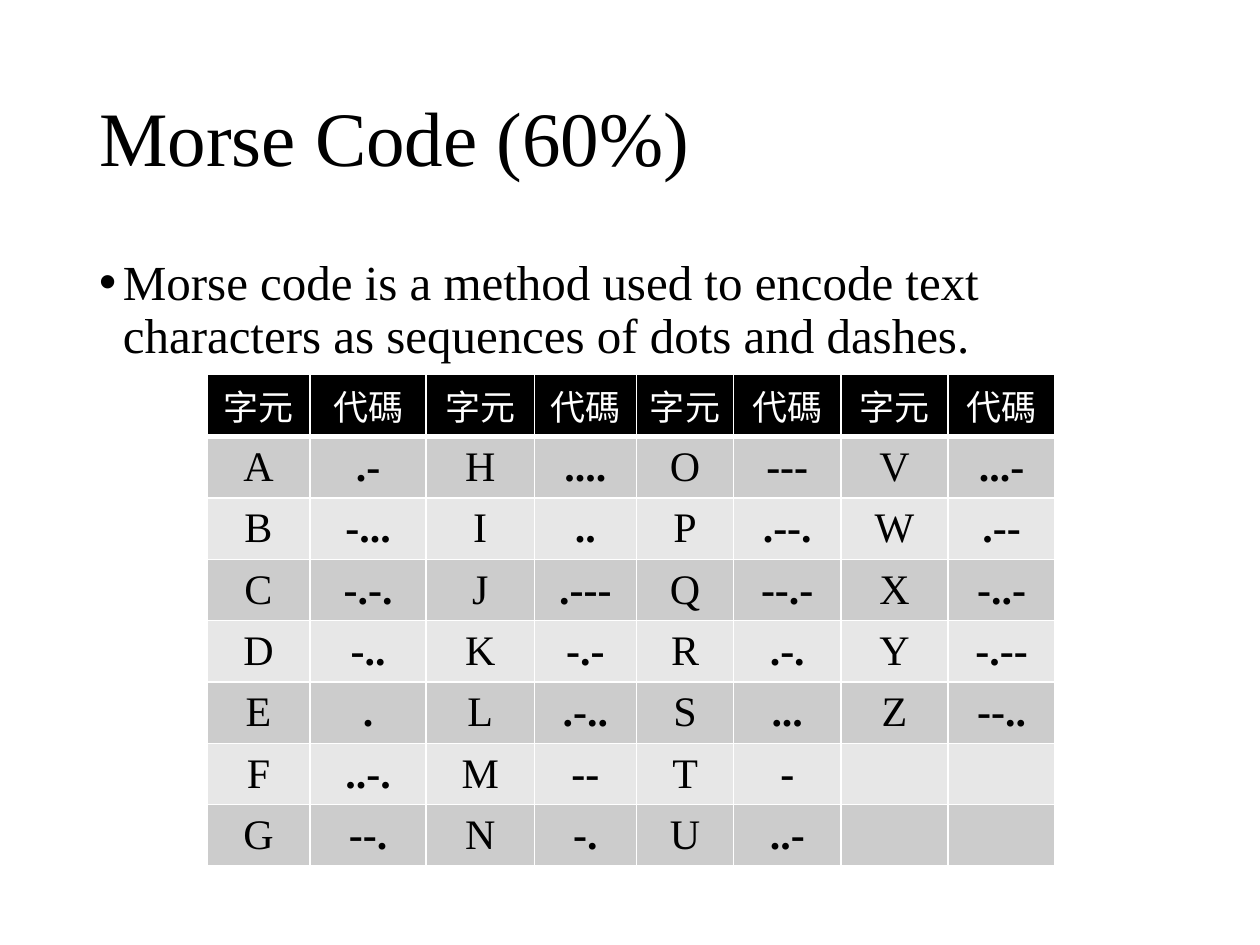
from lxml.etree import SubElement
from pptx import Presentation
from pptx.dml.color import RGBColor
from pptx.enum.text import MSO_ANCHOR, PP_ALIGN
from pptx.oxml.ns import qn
from pptx.util import Cm, Pt

BLACK = RGBColor(0x00, 0x00, 0x00)
WHITE = RGBColor(0xFF, 0xFF, 0xFF)
DARK_BAND = RGBColor(0xCC, 0xCC, 0xCC)
LIGHT_BAND = RGBColor(0xE7, 0xE7, 0xE7)

LATIN_FONT = "Times New Roman"
CJK_FONT = "Noto Sans CJK SC"

COLUMN_WIDTHS = [2.08, 2.34, 2.18, 2.06, 1.96, 2.16, 2.16, 2.16]
HEADINGS = ["字元", "代碼"]
LETTERS_PER_COLUMN = 7
MORSE = dict(zip(
    "ABCDEFGHIJKLMNOPQRSTUVWXYZ",
    ".- -... -.-. -.. . ..-. --. .... .. .--- -.- .-.. -- -. "
    "--- .--. --.- .-. ... - ..- ...- .-- -..- -.-- --..".split(),
))


class SlideBuilder:
    """Holds the style and the slide being filled."""

    def __init__(self, slide):
        self.slide = slide

    def add_run(self, paragraph, text, size, font=LATIN_FONT, color=BLACK, bold=False):
        run = paragraph.add_run()
        run.text = text
        run.font.size = Pt(size)
        run.font.name = font
        run.font.bold = bold
        run.font.color.rgb = color
        SubElement(run.font._element, qn("a:ea"), typeface=font)

    def add_text(self, text, top, height, size, anchor=MSO_ANCHOR.TOP, bullet=None):
        box = self.slide.shapes.add_textbox(Cm(1.75), Cm(top), Cm(21.9), Cm(height))
        frame = box.text_frame
        frame.word_wrap = True
        frame.vertical_anchor = anchor
        paragraph = frame.paragraphs[0]
        paragraph.line_spacing = 0.9
        if bullet:
            properties = paragraph._p.get_or_add_pPr()
            properties.set("marL", str(Cm(0.48)))
            properties.set("indent", str(-Cm(0.48)))
            SubElement(properties, qn("a:buFont"), typeface="Arial")
            SubElement(properties, qn("a:buChar"), char=bullet)
        self.add_run(paragraph, text, size)

    def add_borders(self, cell, bottom):
        """Draw white cell edges; must come before the fill in the XML."""
        properties = cell._tc.get_or_add_tcPr()
        for side, width in (("L", 1), ("R", 1), ("T", 1), ("B", bottom)):
            line = SubElement(properties, qn(f"a:ln{side}"), w=str(Pt(width)))
            fill = SubElement(line, qn("a:solidFill"))
            SubElement(fill, qn("a:srgbClr"), val=str(WHITE))

    def fill_cell(self, cell, text, fill, bottom=1, **style):
        cell.margin_top = cell.margin_bottom = Cm(0.11)
        cell.vertical_anchor = MSO_ANCHOR.MIDDLE
        self.add_borders(cell, bottom)
        cell.fill.solid()
        cell.fill.fore_color.rgb = fill
        if text:
            paragraph = cell.text_frame.paragraphs[0]
            paragraph.alignment = PP_ALIGN.CENTER
            self.add_run(paragraph, text, **style)

    def add_code_table(self, codes):
        """Lay out letter and code pairs, running down each pair of columns."""
        table = self.slide.shapes.add_table(
            LETTERS_PER_COLUMN + 1, len(COLUMN_WIDTHS),
            Cm(4.17), Cm(7.55), Cm(sum(COLUMN_WIDTHS)), Cm(9.58),
        ).table
        for column, width in zip(table.columns, COLUMN_WIDTHS):
            column.width = Cm(width)
        for index, row in enumerate(table.rows):
            row.height = Cm(1.19 if index else 1.25)

        for column in range(len(COLUMN_WIDTHS)):
            self.fill_cell(table.cell(0, column), HEADINGS[column % 2], BLACK,
                           bottom=3, size=20, font=CJK_FONT, color=WHITE)

        pairs = list(codes.items())
        for row in range(1, LETTERS_PER_COLUMN + 1):
            band = DARK_BAND if row % 2 else LIGHT_BAND
            for column in range(len(COLUMN_WIDTHS)):
                group, part = divmod(column, 2)
                position = group * LETTERS_PER_COLUMN + row - 1
                text = pairs[position][part] if position < len(pairs) else ""
                self.fill_cell(table.cell(row, column), text, band,
                               size=24, bold=part == 1)


def main():
    presentation = Presentation()
    presentation.slide_width = Cm(25.4)
    presentation.slide_height = Cm(19.05)
    builder = SlideBuilder(presentation.slides.add_slide(presentation.slide_layouts[6]))

    builder.add_text("Morse Code (60%)", 1.01, 3.68, 44, anchor=MSO_ANCHOR.MIDDLE)
    builder.add_text(
        "Morse code is a method used to encode text characters "
        "as sequences of dots and dashes.",
        5.08, 12.09, 28, bullet="•",
    )
    builder.add_code_table(MORSE)
    presentation.save("out.pptx")


if __name__ == "__main__":
    main()
